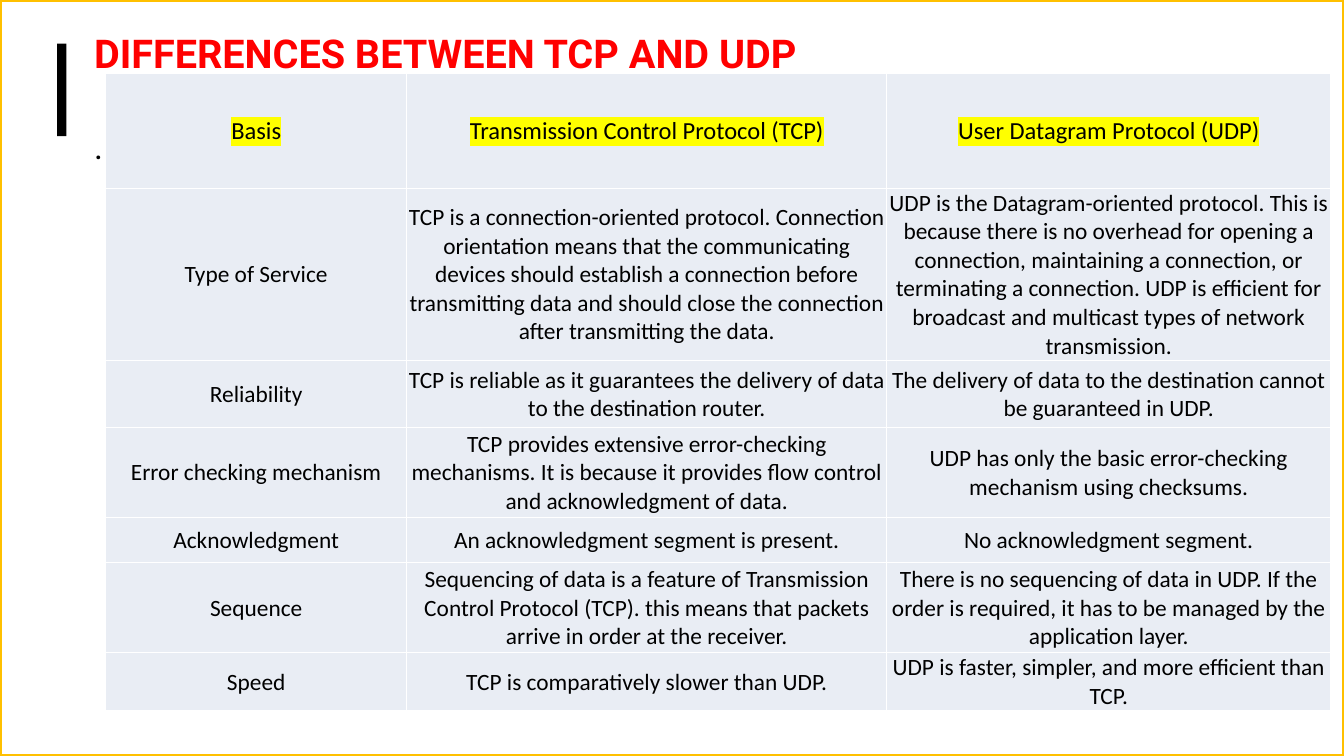
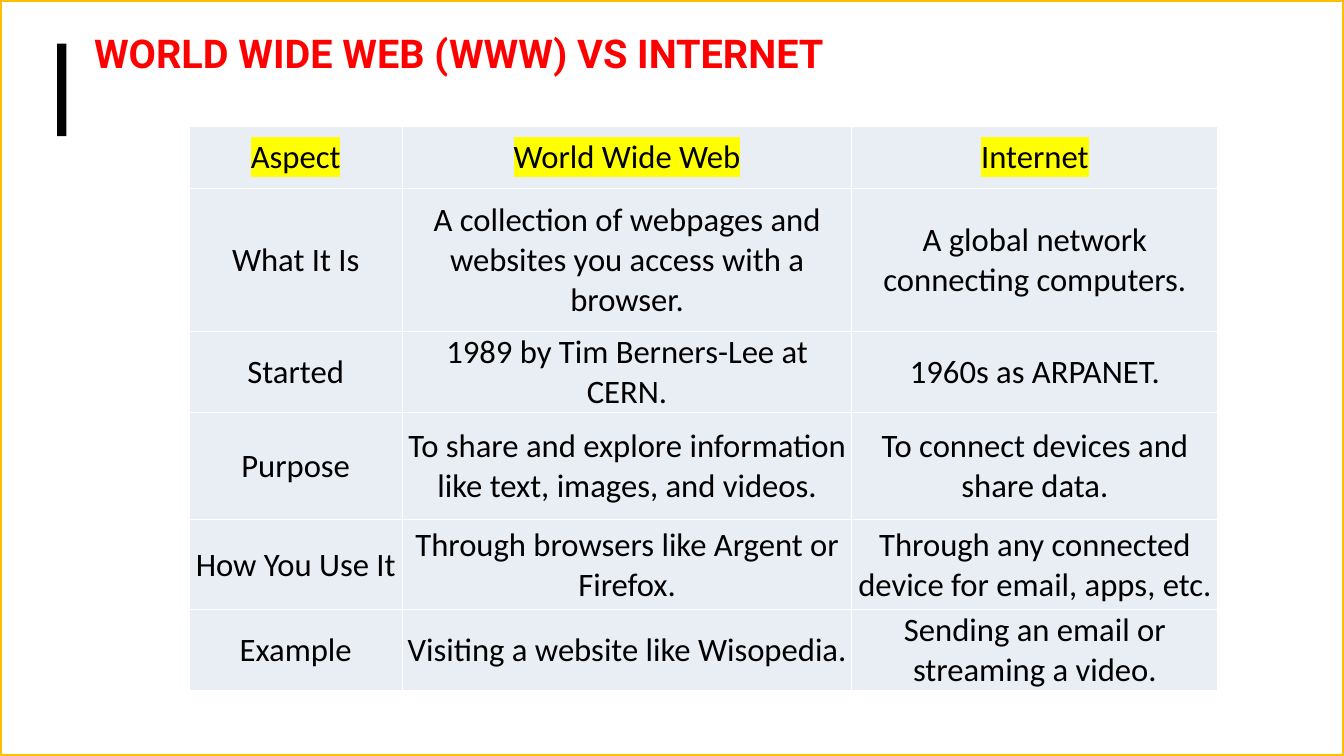
from lxml import etree
from pptx import Presentation
from pptx import util as u
from pptx.dml.color import RGBColor
from pptx.enum import shapes, text
from pptx.oxml import ns

RED = RGBColor(0xFF, 0x00, 0x00)
GOLD = RGBColor(0xFF, 0xC0, 0x00)
BLACK = RGBColor(0x00, 0x00, 0x00)
WHITE = RGBColor(0xFF, 0xFF, 0xFF)
PALE = RGBColor(0xE9, 0xED, 0xF4)
YELLOW = RGBColor(0xFF, 0xFF, 0x00)

COLS, ROWS = 16, 9  # grid of one-inch squares
TITLE = dict(name="Roboto", size=u.Pt(34), bold=True)
BODY = dict(name="Roboto", size=u.Pt(29))
FRAME = dict(margin_left=u.Inches(0.12), margin_right=u.Inches(0.12),
             margin_top=u.Inches(0.06), margin_bottom=u.Inches(0.06),
             word_wrap=True, auto_size=text.MSO_AUTO_SIZE.NONE)
CELL = dict(margin_left=u.Inches(0.01), margin_right=u.Inches(0.01),
            margin_top=u.Inches(0.01), margin_bottom=0,
            vertical_anchor=text.MSO_ANCHOR.MIDDLE)


def put(obj, vals):
    for key, val in vals.items():
        setattr(obj, key, val)


def ink(tag, color, **attrs):
    """Make an element that holds one plain colour."""
    node = etree.Element(ns.qn(tag), attrs)
    etree.SubElement(node, ns.qn("a:srgbClr"), val=str(color))
    return node


class Deck:
    def __init__(self):
        self.prs = Presentation()
        self.prs.slide_width = u.Inches(COLS)
        self.prs.slide_height = u.Inches(ROWS)
        self.slide = None

    def box(self, col, row, wide, high):
        return [u.Inches(n) for n in (col, row, wide, high)]

    def place(self, shape, *grid):
        put(shape, dict(zip(("left", "top", "width", "height"), self.box(*grid))))

    def page(self, layout, title):
        self.slide = self.prs.slides.add_slide(self.prs.slide_layouts[layout])
        head = self.slide.shapes.title
        self.place(head, 1, 0.08, 10.92, 1.1)
        self.label(head, title, TITLE, RED, vertical_anchor=text.MSO_ANCHOR.MIDDLE)

    def label(self, shape, words, font, color, **extra):
        frame = shape.text_frame
        put(frame, FRAME | extra)
        frame.text = words
        par = frame.paragraphs[0]
        put(par, dict(alignment=text.PP_ALIGN.LEFT, space_before=u.Pt(0)))
        put(par.runs[0].font, font)
        par.runs[0].font.color.rgb = color

    def body(self, words, *grid, drop):
        shape = self.slide.placeholders[1]
        self.place(shape, *grid)
        self.label(shape, words, BODY, BLACK, margin_top=u.Inches(drop))
        for par in shape.text_frame.paragraphs:
            par.space_after = u.Pt(6)
        for props in shape.element.xpath(".//a:pPr"):
            props.set("marL", "0")
            props.set("indent", "0")
            etree.SubElement(props, ns.qn("a:buNone"))

    def block(self, color, *grid):
        shape = self.slide.shapes.add_shape(shapes.MSO_SHAPE.RECTANGLE, *self.box(*grid))
        shape.shadow.inherit = False
        shape.fill.solid()
        shape.fill.fore_color.rgb = color
        shape.line.fill.background()
        return shape

    def theme(self):
        """Draw the frame and title bar, then share them through the master."""
        edge = self.block(WHITE, 0, 0, COLS, ROWS)
        edge.line.color.rgb = GOLD
        edge.line.width = u.Pt(3)
        tint = edge.element.xpath("./p:spPr/a:solidFill/a:srgbClr")[0]
        etree.SubElement(tint, ns.qn("a:alpha"), val="49000")
        bar = self.block(BLACK, 0.68, 0.52, 0.11, 1.1)
        tree = self.prs.slide_master.shapes.element
        for spot, shape in enumerate((edge, bar)):
            shape.element.xpath(".//p:cNvPr")[0].set("id", str(100 + spot))
            tree.insert(2 + spot, shape.element)

    def table(self, left, top, wides, highs, rows, sizes):
        grid = self.box(left, top, sum(wides), sum(highs))
        frame = self.slide.shapes.add_table(len(rows), len(wides), *grid)
        table = frame.table
        put(table, dict(first_row=False, horz_banding=False))
        for col, wide in zip(table.columns, wides):
            col.width = u.Inches(wide)
        for num, (row, high, words) in enumerate(zip(table.rows, highs, rows)):
            row.height = u.Inches(high)
            for cell, word in zip(row.cells, words):
                self.fill(cell, word, sizes[min(num, 1)])
        # White cell borders
        for props in frame.element.xpath(".//a:tcPr"):
            for spot, side in enumerate("LRTB"):
                line = etree.Element(ns.qn("a:ln" + side), w=str(u.Pt(1)))
                line.append(ink("a:solidFill", WHITE))
                props.insert(spot, line)
        # Marker behind the header words
        for fill in frame.element.xpath(".//a:tr[1]//a:rPr/a:solidFill"):
            fill.addnext(ink("a:highlight", YELLOW))

    def fill(self, cell, word, size):
        put(cell, CELL)
        cell.fill.solid()
        cell.fill.fore_color.rgb = PALE
        cell.text = word
        par = cell.text_frame.paragraphs[0]
        par.alignment = text.PP_ALIGN.CENTER
        font = par.runs[0].font
        put(font, dict(name="Calibri", size=u.Pt(size)))
        font.color.rgb = BLACK


TCP = [
    ("Basis", "Transmission Control Protocol (TCP)", "User Datagram Protocol (UDP)"),
    ("Type of Service",
     "TCP is a connection-oriented protocol. Connection orientation means that the "
     "communicating devices should establish a connection before transmitting data "
     "and should close the connection after transmitting the data.",
     "UDP is the Datagram-oriented protocol. This is because there is no overhead for "
     "opening a connection, maintaining a connection, or terminating a connection. "
     "UDP is efficient for broadcast and multicast types of network transmission."),
    ("Reliability",
     "TCP is reliable as it guarantees the delivery of data to the destination router.",
     "The delivery of data to the destination cannot be guaranteed in UDP."),
    ("Error checking mechanism",
     "TCP provides extensive error-checking mechanisms. It is because it provides "
     "flow control and acknowledgment of data.",
     "UDP has only the basic error-checking mechanism using checksums."),
    ("Acknowledgment", "An acknowledgment segment is present.",
     "No acknowledgment segment."),
    ("Sequence",
     "Sequencing of data is a feature of Transmission Control Protocol (TCP). "
     "this means that packets arrive in order at the receiver.",
     "There is no sequencing of data in UDP. If the order is required, it has to be "
     "managed by the application layer."),
    ("Speed", "TCP is comparatively slower than UDP.",
     "UDP is faster, simpler, and more efficient than TCP."),
]

WEB = [
    ("Aspect", "World Wide Web", "Internet"),
    ("What It Is", "A collection of webpages and websites you access with a browser.",
     "A global network connecting computers."),
    ("Started", "1989 by Tim Berners-Lee at CERN.", "1960s as ARPANET."),
    ("Purpose", "To share and explore information like text, images, and videos.",
     "To connect devices and share data."),
    ("How You Use It", "Through browsers like Argent or Firefox.",
     "Through any connected device for email, apps, etc."),
    ("Example", "Visiting a website like Wisopedia.",
     "Sending an email or streaming a video."),
]


def main():
    deck = Deck()

    # TCP and UDP
    deck.page(1, "DIFFERENCES BETWEEN TCP AND UDP")
    deck.theme()
    deck.body(".", 1, 0.83, 14.34, 6.98, drop=0.67)
    deck.table(1.26, 0.88, (3.58, 5.72, 5.28),
               (1.36, 1.61, 0.8, 1.07, 0.54, 1.07, 0.54), TCP, (21, 20))

    # Web and Internet
    deck.page(5, "WORLD WIDE WEB (WWW) VS INTERNET")
    deck.table(2.25, 1.5, (2.54, 5.35, 4.36),
               (0.74, 1.71, 0.93, 1.28, 1.07, 0.85), WEB, (28, 28))

    deck.prs.save("out.pptx")


if __name__ == "__main__":
    main()
